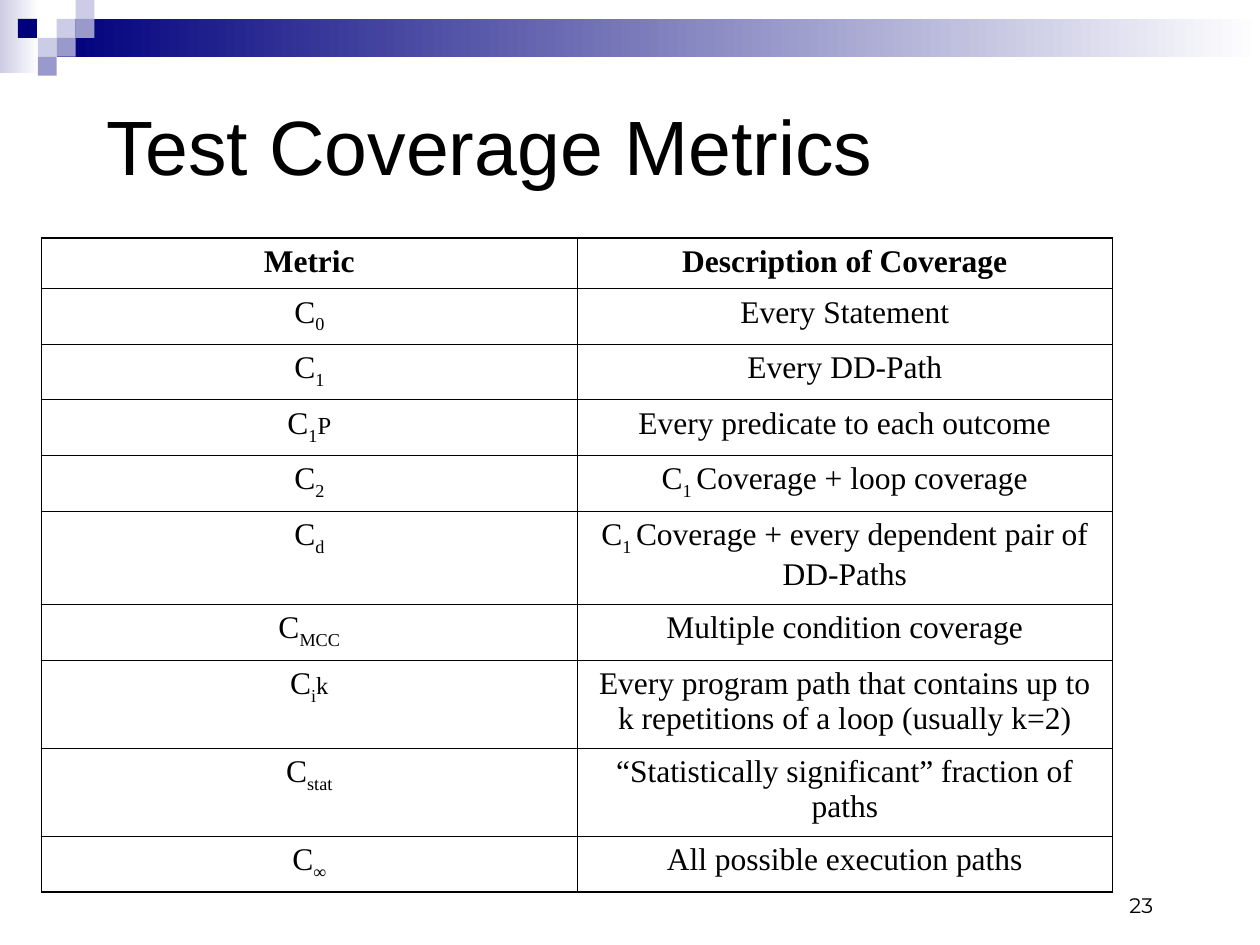
import pptx
import pptx.dml.color
import pptx.enum.shapes
import pptx.enum.text
import pptx.oxml
import pptx.oxml.ns
import pptx.util
from pptx.util import Inches

COLORS = {
    "text": "000000",
    "navy": "00007D",
    "mid": "9999CC",
    "pale": "CCCCE6",
    "white": "FFFFFF",
}
SERIF = "Times New Roman"
ALIGN = pptx.enum.text.PP_ALIGN
ANCHOR = pptx.enum.text.MSO_ANCHOR

ROWS = [
    (0.40, ["Metric"], ["Description of Coverage"]),
    (0.44, ["C", "0"], ["Every Statement"]),
    (0.44, ["C", "1"], ["Every DD-Path"]),
    (0.44, ["C", "1", "P"], ["Every predicate to each outcome"]),
    (0.44, ["C", "2"], ["C", "1 ", "Coverage + loop coverage"]),
    (0.74, ["C", "d"], ["C", "1 ", "Coverage + every dependent pair of DD-Paths"]),
    (0.44, ["C", "MCC"], ["Multiple condition coverage"]),
    (0.70, ["C", "i", "k"],
     ["Every program path that contains up to k repetitions of a loop (usually k=2)"]),
    (0.70, ["C", "stat"], ["“Statistically significant” fraction of paths"]),
    (0.44, ["C", "∞"], ["All possible execution paths"]),
]


def rgb(name):
    return pptx.dml.color.RGBColor.from_string(COLORS[name])


def set_font(p, name, size, bold=False):
    p.font.name = name
    p.font.size = pptx.util.Pt(size)
    p.font.bold = bold
    p.font.color.rgb = rgb("text")


def add_rect(s, x, y, w, h, *colors):
    sp = s.shapes.add_shape(pptx.enum.shapes.MSO_SHAPE.RECTANGLE,
                            Inches(x), Inches(y), Inches(w), Inches(h))
    sp.shadow.inherit = False
    sp.line.fill.background()
    if len(colors) == 1:
        sp.fill.solid()
        sp.fill.fore_color.rgb = rgb(colors[0])
    else:
        sp.fill.gradient()
        sp.fill.gradient_angle = 0
        for stop, color in zip(sp.fill.gradient_stops, colors):
            stop.color.rgb = rgb(color)


def add_banner(s, x, y, w):
    unit = 0.15
    add_rect(s, x, y, 0.31, 0.58, "pale", "white")
    add_rect(s, x + 3 * unit, y + unit, w - 3 * unit, 2 * unit, "navy", "white")
    squares = [(3, 1, "pale"), (4, 0, "pale"), (4, 1, "mid"), (2, 2, "pale"),
               (0.95, 1, "navy"), (3, 2, "mid"), (2, 3, "mid")]
    for col, row, color in squares:
        add_rect(s, x + col * unit, y + row * unit, unit, unit, color)


def add_text(s, x, y, w, h, text, font, size, align, anchor):
    tf = s.shapes.add_textbox(Inches(x), Inches(y), Inches(w), Inches(h)).text_frame
    tf.word_wrap = True
    tf.vertical_anchor = anchor
    p = tf.paragraphs[0]
    p.text = text
    p.alignment = align
    set_font(p, font, size)


def set_borders(cell, widths):
    tcPr = cell._tc.get_or_add_tcPr()
    for i, (side, width) in enumerate(zip("LRTB", widths)):
        tcPr.insert(i, pptx.oxml.parse_xml(
            f'<a:ln{side} {pptx.oxml.ns.nsdecls("a")} w="{pptx.util.Pt(width)}">'
            f'<a:solidFill><a:srgbClr val="{COLORS["text"]}"/></a:solidFill></a:ln{side}>'))


def fill_cell(cell, parts, header, small_tail):
    p = cell.text_frame.paragraphs[0]
    p.alignment = ALIGN.CENTER
    p.space_before = pptx.util.Pt(3.5 if small_tail else 4.5)
    set_font(p, SERIF, 18, header)
    for i, part in enumerate(parts):
        r = p.add_run()
        r.text = part
        if i == 1:
            r.font._element.set("baseline", "-25000")
        if i == 2 and small_tail:
            r.font.size = pptx.util.Pt(14)


def add_metrics_table(s, x, y, w):
    inner, outer = 0.45, 1.08
    height = sum(row[0] for row in ROWS)
    table = s.shapes.add_table(len(ROWS), 2, Inches(x), Inches(y),
                               Inches(w), Inches(height)).table
    table.horz_banding = False
    table.first_row = False
    last = len(ROWS) - 1
    for i, (row_height, *cells) in enumerate(ROWS):
        table.rows[i].height = Inches(row_height)
        for j, parts in enumerate(cells):
            cell = table.cell(i, j)
            cell.fill.background()
            fill_cell(cell, parts, i == 0, j == 0 and len(parts) == 3)
            edges = (j == 0, j == 1, i == 0, i == last)
            set_borders(cell, [outer if edge else inner for edge in edges])


def main():
    prs = pptx.Presentation()
    prs.slide_width = Inches(10)
    prs.slide_height = Inches(7.5)
    s = prs.slides.add_slide(prs.slide_layouts[6])
    add_banner(s, 0, 0, 10)
    add_text(s, 7.17, 6.83, 2.08, 0.5, "23", "Montserrat", 12, ALIGN.RIGHT, ANCHOR.BOTTOM)
    add_text(s, 0.75, 0.52, 8.5, 1.25, "Test Coverage Metrics", "Arial", 44,
             ALIGN.LEFT, ANCHOR.MIDDLE)
    add_metrics_table(s, 0.33, 1.89, 8.5)
    prs.save("out.pptx")


if __name__ == "__main__":
    main()
